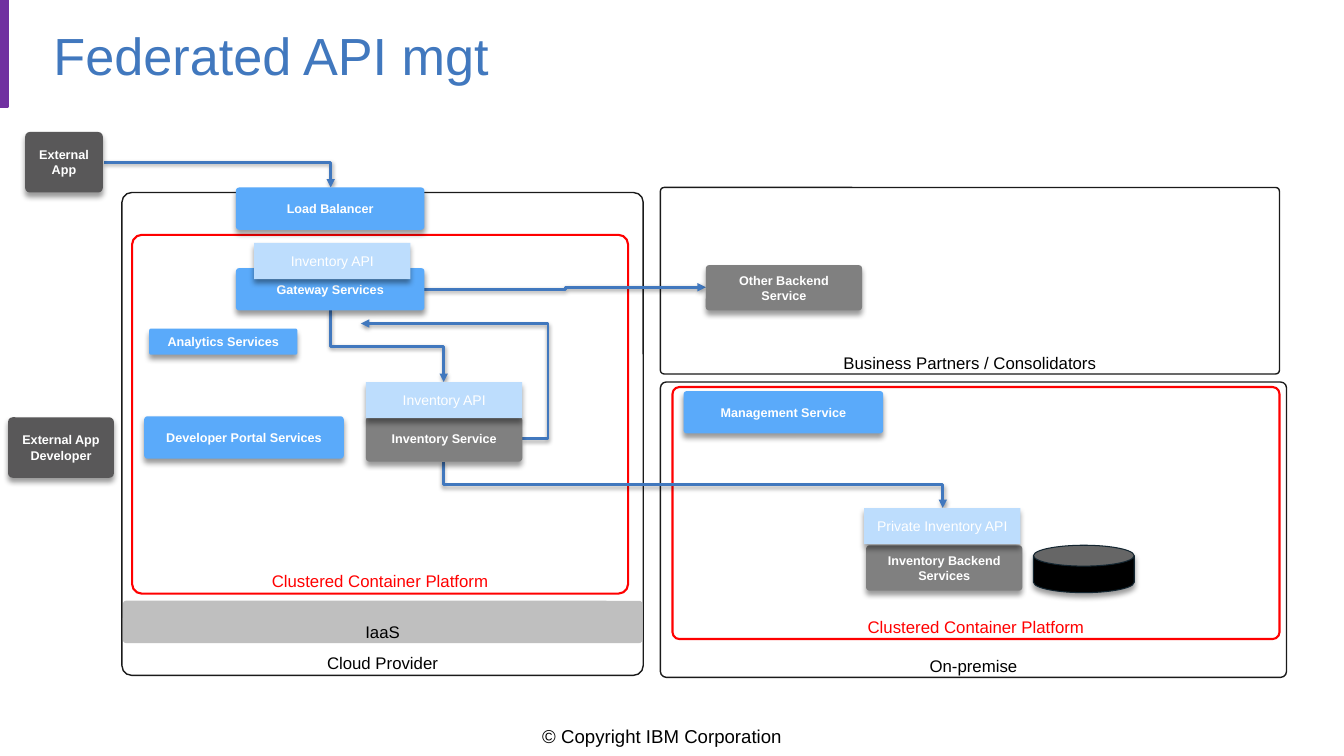
import dataclasses
import pptx
import pptx.util
import pptx.dml.color
import pptx.enum.shapes
import pptx.enum.text
import pptx.oxml.ns
import lxml.etree

SCALE = 9144  # EMU in one px, 100 px to the inch
KIND = pptx.enum.shapes.MSO_SHAPE
LINK = pptx.enum.shapes.MSO_CONNECTOR
ALIGN = pptx.enum.text.PP_ALIGN
ANCHOR = pptx.enum.text.MSO_ANCHOR


@dataclasses.dataclass(frozen=True)
class Theme:
    font: str = "Arial"
    blue: str = "5AAAFA"
    pale: str = "BDDDFD"
    ink: str = "4178BE"
    gray: str = "808080"
    dark: str = "595859"
    silver: str = "BFBFBF"
    black: str = "000000"
    edge: str = "1A1A1A"
    rim: str = "132530"
    red: str = "FF0000"
    white: str = "FFFFFF"
    purple: str = "7030A0"
    title: float = 37.3
    foot: float = 13.3
    frame: float = 12
    api: float = 10
    node: float = 9


THEME = Theme()


def px(*sizes):
    return [pptx.util.Emu(size * SCALE) for size in sizes]


def rgb(color):
    return pptx.dml.color.RGBColor.from_string(color)


def add_part(parent, tag, **attrs):
    part = lxml.etree.SubElement(parent, pptx.oxml.ns.qn(tag))
    for name, value in attrs.items():
        part.set(name, str(value))
    return part


def put_text(shape, text, size, color, bold=False, align=ALIGN.CENTER,
             anchor=ANCHOR.MIDDLE, pad=(10, 5), wrap=True):
    frame = shape.text_frame
    frame.text = text
    frame.word_wrap = wrap
    frame.auto_size = pptx.enum.text.MSO_AUTO_SIZE.NONE
    frame.vertical_anchor = anchor
    frame.margin_left = frame.margin_right = px(pad[0])[0]
    frame.margin_top = frame.margin_bottom = px(pad[1])[0]
    for para in frame.paragraphs:
        para.alignment = align
        para.font.name = THEME.font
        para.font.size = pptx.util.Pt(size)
        para.font.bold = bold
        para.font.color.rgb = rgb(color)


def cast(effects, blur, dist, alpha):
    """Add a soft shadow that falls straight down; sizes in points."""
    shade = add_part(effects, "a:outerShdw", blurRad=int(blur * 12700),
                     dist=int(dist * 12700), dir=5400000, rotWithShape=0)
    tint = add_part(shade, "a:srgbClr", val=THEME.black)
    add_part(tint, "a:alpha", val=alpha * 1000)


def add_box(slide, kind, box, fill=None, line=None, width=1, curve=None,
            shadow=False):
    shape = slide.shapes.add_shape(kind, *px(*box))
    if curve is not None:
        shape.adjustments[0] = curve
    if fill:
        shape.fill.solid()
        shape.fill.fore_color.rgb = rgb(fill)
    else:
        shape.fill.background()
    if line:
        shape.line.color.rgb = rgb(line)
        shape.line.width = pptx.util.Pt(width)
    else:
        shape.line.fill.background()
    shape.shadow.inherit = False
    if shadow:
        cast(shape.element.spPr.find(pptx.oxml.ns.qn("a:effectLst")), 4, 3, 40)
    return shape


def add_frame(slide, text, box, curve, line=None, width=1, fill=None,
              color=THEME.black):
    shape = add_box(slide, KIND.ROUNDED_RECTANGLE, box, fill, line, width, curve)
    put_text(shape, text, THEME.frame, color, anchor=ANCHOR.BOTTOM, pad=(0, 0))


def add_node(slide, text, box, fill):
    shape = add_box(slide, KIND.ROUNDED_RECTANGLE, box, fill, curve=0.076,
                    shadow=True)
    put_text(shape, text, THEME.node, THEME.white, bold=True)


def add_api(slide, text, left, top):
    shape = add_box(slide, KIND.RECTANGLE, (left, top, 155, 36), THEME.pale,
                    shadow=True)
    put_text(shape, text, THEME.api, THEME.white, pad=(0, 0))


def add_arrow(slide, start, end, form="bentConnector3", bend=50, down=False):
    """Draw an elbow arrow; with down it leaves its start downward."""
    link = slide.shapes.add_connector(LINK.ELBOW, *px(*start, *end))
    link.line.color.rgb = rgb(THEME.ink)
    link.line.width = pptx.util.Pt(2)
    add_part(link.line._get_or_add_ln(), "a:tailEnd", type="triangle")
    props = link.element.spPr
    if down:  # a box turned by 270 degrees about the same centre
        wide, high = end[0] - start[0], end[1] - start[1]
        shift = (wide - high) * SCALE // 2
        link.left, link.top = link.left + shift, link.top - shift
        link.width, link.height = px(high, wide)
        turn = props.find(pptx.oxml.ns.qn("a:xfrm"))
        turn.set("rot", "16200000")
        turn.set("flipH", "1")
    shape = props.find(pptx.oxml.ns.qn("a:prstGeom"))
    shape.set("prst", form)
    if form == "bentConnector3":
        guides = shape.find(pptx.oxml.ns.qn("a:avLst"))
        add_part(guides, "a:gd", name="adj1", fmla=f"val {bend * 1000}")
    cast(add_part(props, "a:effectLst"), 3.1, 1.6, 38)


def main():
    deck = pptx.Presentation()
    deck.slide_width, deck.slide_height = px(1333, 750)
    slide = deck.slides.add_slide(deck.slide_layouts[5])

    # Title, side bar and footer
    title = slide.shapes.title
    title.left, title.top, title.width, title.height = px(43, 6, 1224, 96)
    put_text(title, "Federated API mgt", THEME.title, THEME.ink, align=ALIGN.LEFT)
    add_box(slide, KIND.RECTANGLE, (0, 0, 8, 106), THEME.purple, THEME.purple, 2)
    foot = slide.shapes.add_textbox(*px(528, 714, 266, 33))
    put_text(foot, "© Copyright IBM Corporation", THEME.foot, THEME.black,
             align=ALIGN.LEFT, anchor=ANCHOR.TOP, wrap=False)

    # Hosting zones and platforms
    for text, box in (
        ("Cloud Provider", (121, 191, 517, 479)),
        ("On-premise", (655, 379, 621, 293)),
        ("Business Partners / Consolidators", (655, 186, 614, 185)),
    ):
        add_frame(slide, text, box, 0.02, THEME.edge)
    add_frame(slide, "IaaS", (122, 596, 515, 42), 0.07, fill=THEME.silver)
    for box in (131, 233, 492, 356), (667, 384, 602, 250):
        add_frame(slide, "Clustered Container Platform", box, 0.027, THEME.red,
                  1.5, color=THEME.red)

    # Arrows
    add_arrow(slide, (103, 161), (328, 186), form="bentConnector2")
    add_arrow(slide, (328, 308), (440, 379), down=True)
    add_arrow(slide, (518, 435), (358, 321), bend=-16)
    add_arrow(slide, (440, 458), (935, 504), down=True)
    add_arrow(slide, (421, 287), (700, 285))

    # Services and callers
    for text, box, fill in (
        ("Developer Portal Services", (143, 413, 198, 42), THEME.blue),
        ("Gateway Services", (234, 266, 187, 42), THEME.blue),
        ("Load Balancer", (234, 186, 187, 42), THEME.blue),
        ("Management Service", (678, 388, 198, 42), THEME.blue),
        ("Analytics Services", (148, 326, 147, 26), THEME.blue),
        ("Inventory Service", (363, 413, 155, 45), THEME.gray),
        ("Other Backend Service", (700, 263, 155, 45), THEME.gray),
        ("Inventory Backend Services", (859, 541, 155, 45), THEME.gray),
        ("External App", (25, 131, 77, 60), THEME.dark),
        ("External App\nDeveloper", (8, 414, 105, 60), THEME.dark),
    ):
        add_node(slide, text, box, fill)

    # API tabs on top of their services
    add_api(slide, "Inventory API", 363, 379)
    add_api(slide, "Inventory API", 252, 241)
    add_api(slide, "Private Inventory API", 857, 504)

    # Data store
    add_box(slide, KIND.CAN, (1025, 541, 100, 47), THEME.black, THEME.rim, 0.75,
            curve=0.44, shadow=True)

    deck.save("out.pptx")


if __name__ == "__main__":
    main()
